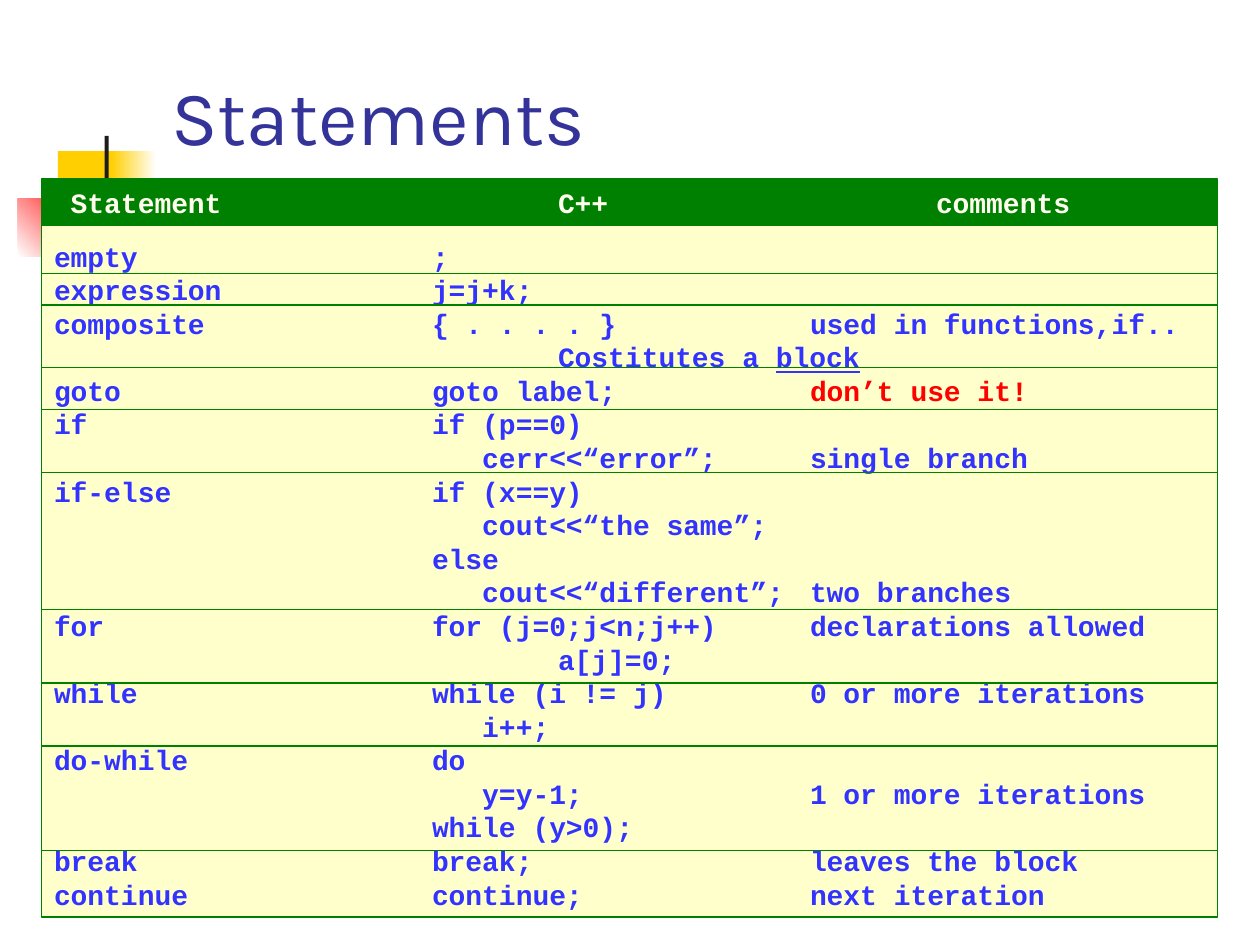
from dataclasses import dataclass

from lxml import etree
from pptx import Presentation
from pptx import util as u
from pptx.dml.color import RGBColor
from pptx.enum import shapes, text
from pptx.oxml.ns import qn

GREEN = RGBColor(0x00, 0x80, 0x00)
CREAM = RGBColor(0xFF, 0xFF, 0xCC)
IVORY = RGBColor(0xFF, 0xFF, 0xEF)
BLUE = RGBColor(0x33, 0x33, 0xFF)
NAVY = RGBColor(0x33, 0x33, 0x99)
RED = RGBColor(0xFF, 0x00, 0x00)
GOLD = RGBColor(0xFF, 0xCF, 0x01)
BLACK = RGBColor(0x1C, 0x1C, 0x1C)
WHITE = RGBColor(0xFF, 0xFF, 0xFF)

TABLE_LEFT, TABLE_WIDTH = 0.84, 23.71
COLUMN_STOPS = (7.62, 15.24)
INDENTED_STOPS = (10.16, 17.78)
RULE_TOPS = (5.51, 6.15, 7.41, 8.25, 9.53, 12.28, 13.77, 15.04, 17.15)


@dataclass(frozen=True)
class Area:
    left: float
    top: float
    width: float
    height: float

    def lengths(self) -> tuple:
        return tuple(u.Cm(v) for v in (self.left, self.top, self.width, self.height))


@dataclass(frozen=True)
class Ornament:
    area: Area
    colors: tuple
    angle: int = 0


@dataclass(frozen=True)
class Row:
    cells: tuple
    stops: tuple = COLUMN_STOPS
    color: RGBColor = BLUE
    alert: str = ""
    underlined: str = ""


ORNAMENTS = (
    Ornament(Area(1.17, 3.05, 1.22, 1.32), (GOLD,)),
    Ornament(Area(2.24, 3.05, 0.91, 1.32), (GOLD, WHITE)),
    Ornament(Area(0.36, 4.01, 1.55, 1.17), (WHITE, RED), 45),
    Ornament(Area(2.11, 2.74, 0.08, 2.92), (BLACK,)),
)

HEADER = Row((" Statement", "C++", "comments"), INDENTED_STOPS, IVORY)

ROWS = (
    Row(("empty", ";")),
    Row(("expression", "j=j+k;")),
    Row(("composite", "{ . . . . }", "used in functions,if..")),
    Row(("", "Costitutes a "), INDENTED_STOPS, underlined="block"),
    Row(("goto", "goto label;", ""), alert="don’t use it!"),
    Row(("if", "if (p==0)")),
    Row(("", "   cerr<<“error”;", "single branch")),
    Row(("if-else", "if (x==y)")),
    Row(("", "   cout<<“the same”;")),
    Row(("", "else")),
    Row(("", "   cout<<“different”;", "two branches")),
    Row(("for", "for (j=0;j<n;j++)", "declarations allowed")),
    Row(("", "a[j]=0;"), INDENTED_STOPS),
    Row(("while", "while (i != j)", "0 or more iterations")),
    Row(("", "   i++;")),
    Row(("do-while", "do")),
    Row(("", "   y=y-1;", "1 or more iterations")),
    Row(("", "while (y>0);")),
    Row(("break", "break;", "leaves the block")),
    Row(("continue", "continue;", "next iteration")),
)


def add_box(page, area: Area):
    box = page.shapes.add_shape(shapes.MSO_SHAPE.RECTANGLE, *area.lengths())
    box.shadow.inherit = False
    box.line.fill.background()
    return box


def add_ornament(page, ornament: Ornament) -> None:
    fill = add_box(page, ornament.area).fill
    if len(ornament.colors) == 1:
        fill.solid()
        fill.fore_color.rgb = ornament.colors[0]
        return
    fill.gradient()
    fill.gradient_angle = ornament.angle
    for stop, color in zip(fill.gradient_stops, ornament.colors):
        stop.color.rgb = color


def set_tab_stops(para, stops: tuple) -> None:
    tabs = etree.SubElement(para._p.get_or_add_pPr(), qn("a:tabLst"))
    for stop in stops:
        etree.SubElement(tabs, qn("a:tab"), pos=str(u.Cm(stop)), algn="l")


def write_row(para, row: Row) -> None:
    para.text = "\t".join(row.cells)
    para.alignment = text.PP_ALIGN.LEFT
    para.line_spacing = u.Pt(19.2)
    set_tab_stops(para, row.stops)
    if row.alert or row.underlined:
        para.add_run().text = row.alert or row.underlined
    for span in para.runs:
        span.font.name = "Courier New"
        span.font.size = u.Pt(16)
        span.font.bold = True
        span.font.color.rgb = row.color
    if row.alert:
        para.runs[-1].font.color.rgb = RED
    if row.underlined:
        para.runs[-1].font.underline = True


def add_panel(page, area: Area, fill: RGBColor, rows: tuple, inset: float) -> None:
    box = add_box(page, area)
    box.fill.solid()
    box.fill.fore_color.rgb = fill
    box.line.color.rgb = GREEN
    box.line.width = u.Pt(0.75)
    frame = box.text_frame
    frame.word_wrap = True
    frame.vertical_anchor = text.MSO_ANCHOR.TOP
    frame.margin_top = u.Cm(inset)
    for index, row in enumerate(rows):
        write_row(frame.add_paragraph() if index else frame.paragraphs[0], row)


def add_rule(page, top: float) -> None:
    rule = page.shapes.add_connector(
        shapes.MSO_CONNECTOR.STRAIGHT,
        u.Cm(TABLE_LEFT), u.Cm(top), u.Cm(TABLE_LEFT + TABLE_WIDTH), u.Cm(top))
    rule.line.color.rgb = GREEN
    rule.line.width = u.Pt(0.75)
    etree.SubElement(rule._element.spPr, qn("a:effectLst"))


def set_title(page, wording: str, area: Area) -> None:
    title = page.shapes.title
    title.left, title.top, title.width, title.height = area.lengths()
    frame = title.text_frame
    frame.text = wording
    frame.auto_size = text.MSO_AUTO_SIZE.NONE
    frame.vertical_anchor = text.MSO_ANCHOR.BOTTOM
    para = frame.paragraphs[0]
    para.alignment = text.PP_ALIGN.LEFT
    font = para.runs[0].font
    font.name = "Karla"
    font.size = u.Pt(44)
    font.color.rgb = NAVY


def main() -> None:
    deck = Presentation()
    deck.slide_width, deck.slide_height = u.Cm(25.4), u.Cm(19.05)
    page = deck.slides.add_slide(deck.slide_layouts[5])

    # Title and corner ornaments
    set_title(page, "Statements", Area(3.2, 0.58, 21.64, 2.79))
    for ornament in ORNAMENTS:
        add_ornament(page, ornament)

    # Statement listing with its header band and rules
    add_panel(page, Area(TABLE_LEFT, 4.01, TABLE_WIDTH, 14.48), CREAM, ROWS, 0.81)
    add_panel(page, Area(TABLE_LEFT, 3.61, TABLE_WIDTH, 0.94), GREEN, (HEADER,), 0.13)
    for top in RULE_TOPS:
        add_rule(page, top)

    deck.save("out.pptx")


if __name__ == "__main__":
    main()
